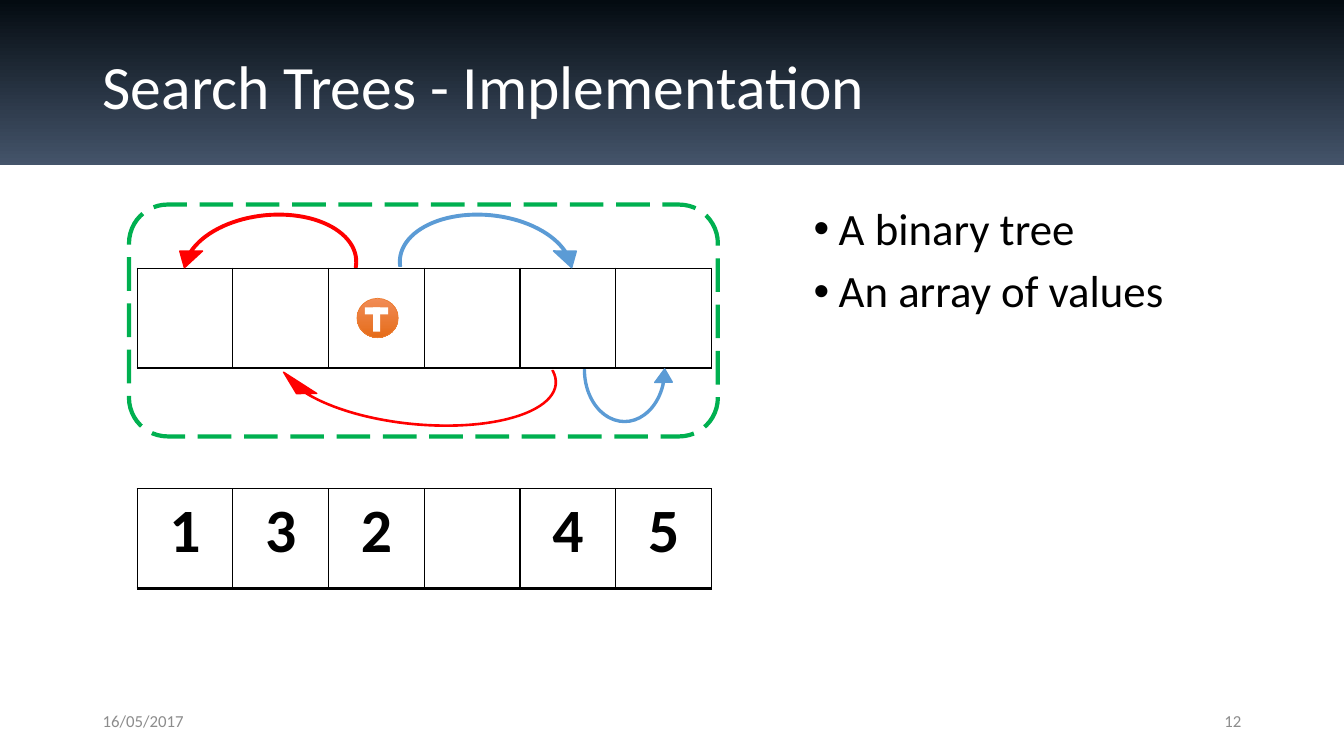
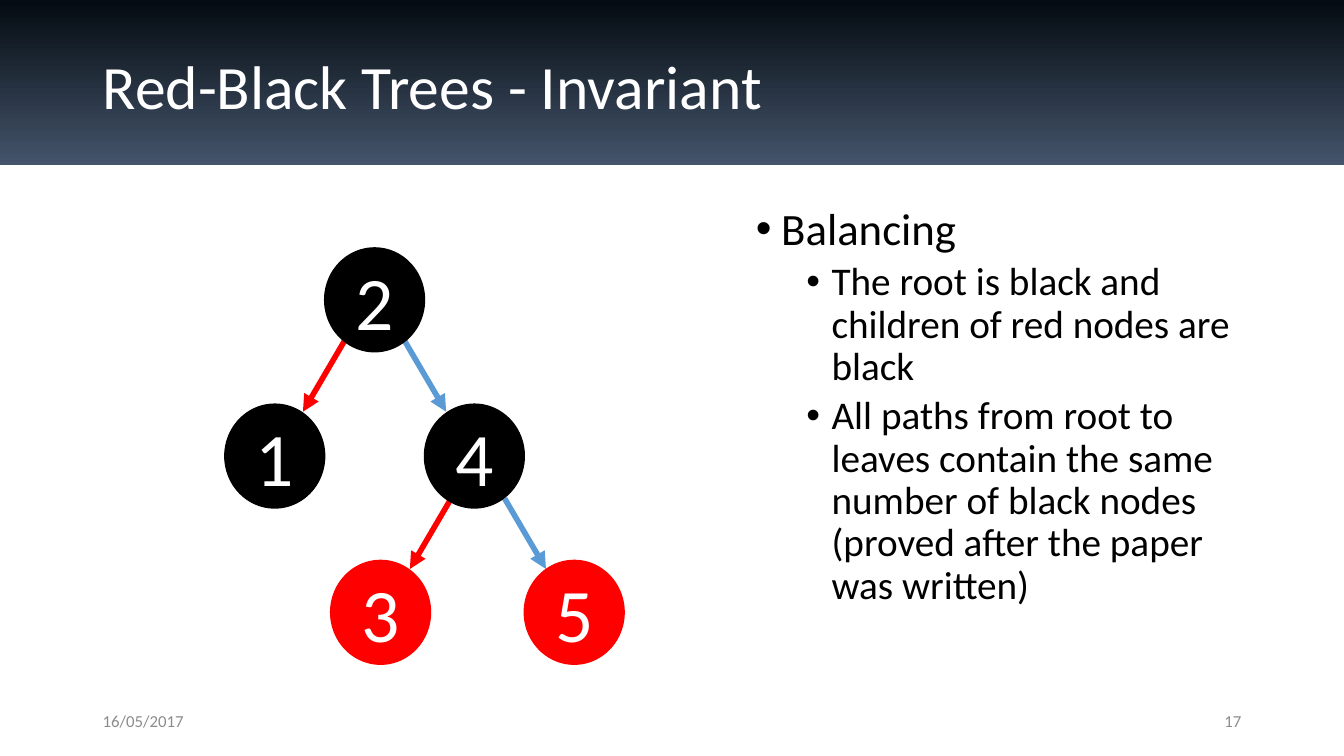
from dataclasses import dataclass
from typing import Optional

from lxml import etree
from pptx import Presentation
from pptx.dml.color import RGBColor
from pptx.enum.dml import MSO_LINE
from pptx.enum.shapes import MSO_CONNECTOR, MSO_SHAPE
from pptx.enum.text import MSO_ANCHOR, PP_ALIGN
from pptx.oxml.ns import qn
from pptx.util import Inches, Pt

RECTANGLE, ROUNDED = MSO_SHAPE.RECTANGLE, MSO_SHAPE.ROUNDED_RECTANGLE
ELLIPSE, CIRCULAR_ARROW = MSO_SHAPE.OVAL, MSO_SHAPE.CIRCULAR_ARROW
STRAIGHT, LONG_DASH = MSO_CONNECTOR.STRAIGHT, MSO_LINE.LONG_DASH
TOP, MIDDLE = MSO_ANCHOR.TOP, MSO_ANCHOR.MIDDLE
LEFT, CENTER, RIGHT = PP_ALIGN.LEFT, PP_ALIGN.CENTER, PP_ALIGN.RIGHT

FONT = "Calibri"
BLACK, WHITE, GREY = "000000", "FFFFFF", "8C8C8C"
RED, BLUE, GREEN = "FF0000", "5B9BD5", "00B050"
BAND = ("040B11", "44546A")
ICON = ("F18C57", "E56C19")

PAGE_WIDTH, PAGE_HEIGHT = 13.33, 7.5
MARGIN = 0.92
CONTENT_WIDTH = PAGE_WIDTH - 2 * MARGIN
BODY_TOP, BODY_HEIGHT = 2, 4.76
BODY_RIGHT = 12.56
CELL_WIDTH, CELL_HEIGHT, CELL_COUNT = 0.95, 0.99, 6
ARRAY_LEFT = 1.36
NODE_WIDTH, NODE_HEIGHT = 0.99, 1.03
TREE_LEFT, TREE_TOP, LEVEL_STEP = 2.23, 2.46, 1.55
EDGE_RUN, EDGE_RISE = 0.41, 0.7

Area = tuple[float, float, float, float]


@dataclass
class Bullet:
    text: str
    level: int = 0


@dataclass
class LoopArrow:
    area: Area
    color: str
    adjustments: tuple[float, ...]
    rotation: float = 0
    flips: str = ""


@dataclass
class Node:
    """A tree node; column counts node widths, edge_gap is the reach of its edges' starts."""
    label: str
    column: float
    level: int
    fill: str = BLACK
    left: Optional["Node"] = None
    right: Optional["Node"] = None
    edge_gap: tuple[float, float] = (0.3, 0.3)
    edge_drop: float = 0.41


LOOPS = [
    LoopArrow((3.85, 2.02, 1.94, 1.26), BLUE, (0.02, 7.15, 205.82, 105.06, 0.09), 5.5),
    LoopArrow((5.71, 3.07, 0.97, 1.2), BLUE, (0.02, 11.42, 205.4, 108, 0.09), 0, "V"),
    LoopArrow((2.67, 3.05, 2.95, 1.26), RED, (0.01, 6.59, 205.81, 104.62, 0.08), 5.5, "HV"),
    LoopArrow((1.71, 2.02, 1.94, 1.26), RED, (0.02, 7.15, 205.82, 104.62, 0.09), 354.5, "H"),
]

TREE = Node(
    "2", 1, 0,
    left=Node("1", 0, 1),
    right=Node("4", 2, 1, left=Node("3", 1.06, 2, RED), right=Node("5", 3, 2, RED),
               edge_gap=(0.23, 0.3), edge_drop=0.42),
)


def rgb(color: str) -> RGBColor:
    return RGBColor.from_string(color)


def inches(area: Area) -> list[int]:
    return [Inches(length) for length in area]


def add_text(target, text: str, *, size: float, color: str = BLACK, bold: bool = False,
             align=LEFT, spacing: Optional[float] = None, before: float = 0) -> None:
    """Fill a paragraph with one formatted span."""
    span = target.add_run()
    span.text = text
    target.alignment = align
    target.space_before = Pt(before)
    if spacing:
        target.line_spacing = spacing
    font = span.font
    font.name, font.size, font.bold = FONT, Pt(size), bold
    font.color.rgb = rgb(color)


def add_box(page, area: Area, anchor=TOP):
    frame = page.shapes.add_textbox(*inches(area)).text_frame
    frame.word_wrap = True
    frame.vertical_anchor = anchor
    return frame


def add_shape(page, kind, area: Area, *, fill: Optional[str] = None,
              gradient: Optional[tuple[str, str]] = None, line: Optional[str] = None,
              width: float = 1):
    shape = page.shapes.add_shape(kind, *inches(area))
    shape.shadow.inherit = False
    if gradient:
        shape.fill.gradient()
        shape.fill.gradient_angle = 270
        for stop, color in zip(shape.fill.gradient_stops, gradient):
            stop.color.rgb = rgb(color)
    elif fill:
        shape.fill.solid()
        shape.fill.fore_color.rgb = rgb(fill)
    else:
        shape.fill.background()
    if line:
        shape.line.color.rgb = rgb(line)
        shape.line.width = Pt(width)
    else:
        shape.line.fill.background()
    return shape


def add_bullets(page, left: float, bullets: list[Bullet]) -> None:
    frame = add_box(page, (left, BODY_TOP, BODY_RIGHT - left, BODY_HEIGHT))
    for index, bullet in enumerate(bullets):
        para = frame.add_paragraph() if index else frame.paragraphs[0]
        para.level = bullet.level
        properties = para._p.get_or_add_pPr()
        properties.set("marL", str(Inches(0.25 + 0.5 * bullet.level)))
        properties.set("indent", str(Inches(-0.25)))
        etree.SubElement(properties, qn("a:buFont"), typeface="Arial")
        etree.SubElement(properties, qn("a:buChar"), char="•")
        before = (5 if bullet.level else 10) if index else 0
        add_text(para, bullet.text, size=32 - 4 * bullet.level, spacing=0.9, before=before)


def start_page(deck, title: str, number: int):
    """Add a page with the title band and the footer."""
    page = deck.slides.add_slide(deck.slide_layouts[6])
    add_shape(page, RECTANGLE, (0, 0, PAGE_WIDTH, 1.64), gradient=BAND)
    heading = add_box(page, (MARGIN, 0.4, CONTENT_WIDTH, 0.97), MIDDLE)
    add_text(heading.paragraphs[0], title, size=44, color=WHITE, spacing=0.9)
    footer_width = 3
    right_footer = PAGE_WIDTH - MARGIN - footer_width
    for left, text, align in ((MARGIN, "16/05/2017", LEFT), (right_footer, str(number), RIGHT)):
        footer = add_box(page, (left, 6.95, footer_width, 0.4), MIDDLE)
        add_text(footer.paragraphs[0], text, size=12, color=GREY, align=align)
    return page


def add_array(page, top: float, values: list[str]) -> None:
    """Draw a one-row table with black borders."""
    area = (ARRAY_LEFT, top, CELL_WIDTH * CELL_COUNT, CELL_HEIGHT)
    table = page.shapes.add_table(1, CELL_COUNT, *inches(area)).table
    table.first_row = table.horz_banding = False
    for cell, value in zip(table.rows[0].cells, values):
        properties = cell._tc.get_or_add_tcPr()
        for side, width in (("L", 1), ("R", 1), ("T", 1), ("B", 2)):
            border = etree.SubElement(properties, qn(f"a:ln{side}"), w=str(Pt(width)))
            solid = etree.SubElement(border, qn("a:solidFill"))
            etree.SubElement(solid, qn("a:srgbClr"), val=BLACK)
        cell.fill.background()
        if value:
            add_text(cell.text_frame.paragraphs[0], value, size=44, bold=True, align=CENTER)


def add_loop(page, loop: LoopArrow) -> None:
    shape = add_shape(page, CIRCULAR_ARROW, loop.area, fill=loop.color, line=loop.color)
    for index, value in enumerate(loop.adjustments):
        shape.adjustments[index] = value
    shape.rotation = loop.rotation
    for axis in loop.flips:
        shape._element.spPr.find(qn("a:xfrm")).set(f"flip{axis}", "1")


def add_icon(page) -> None:
    """Draw the round T marker in the root's cell."""
    add_shape(page, ELLIPSE, (3.54, 2.96, 0.41, 0.39), gradient=ICON, line="ED7D31", width=0.5)
    for area in ((3.62, 3.05, 0.23, 0.07), (3.7, 3.05, 0.07, 0.24)):
        add_shape(page, RECTANGLE, area, fill=WHITE)


def add_edge(page, start: tuple[float, float], side: int, color: str) -> None:
    """Draw an arrow down to the left (side -1) or right (side 1)."""
    x, y = start
    ends = inches((x, y, x + side * EDGE_RUN, y + EDGE_RISE))
    edge = page.shapes.add_connector(STRAIGHT, *ends)
    edge.line.color.rgb = rgb(color)
    edge.line.width = Pt(4)
    etree.SubElement(edge.line._get_or_add_ln(), qn("a:tailEnd"), type="triangle")
    etree.SubElement(edge._element.spPr, qn("a:effectLst"))


def add_tree(page, node: Node) -> None:
    """Draw the subtrees and edges first, so that the node covers where its edges start."""
    left = TREE_LEFT + node.column * NODE_WIDTH
    top = TREE_TOP + node.level * LEVEL_STEP
    center_x, center_y = left + NODE_WIDTH / 2, top + NODE_HEIGHT / 2
    branches = ((node.left, -1, RED), (node.right, 1, BLUE))
    for (child, side, color), gap in zip(branches, node.edge_gap):
        if child:
            add_tree(page, child)
            add_edge(page, (center_x + side * gap, center_y + node.edge_drop), side, color)
    circle = add_shape(page, ELLIPSE, (left, top, NODE_WIDTH, NODE_HEIGHT),
                       fill=node.fill, line=node.fill)
    circle.text_frame.vertical_anchor = MIDDLE
    add_text(circle.text_frame.paragraphs[0], node.label, size=54, color=WHITE, align=CENTER)


def build_implementation(deck) -> None:
    page = start_page(deck, "Search Trees - Implementation", 12)
    add_bullets(page, 7.97, [Bullet("A binary tree"), Bullet("An array of values")])
    frame = add_shape(page, ROUNDED, (1.28, 2.03, 5.84, 2.3), line=GREEN, width=3)
    frame.line.dash_style = LONG_DASH
    add_array(page, 2.66, [""] * CELL_COUNT)
    for loop in LOOPS:
        add_loop(page, loop)
    add_icon(page)
    add_array(page, 4.85, ["1", "3", "2", "", "4", "5"])


def build_invariant(deck) -> None:
    page = start_page(deck, "Red-Black Trees - Invariant", 17)
    add_bullets(page, 7.4, [
        Bullet("Balancing"),
        Bullet("The root is black and children of red nodes are black", 1),
        Bullet("All paths from root to leaves contain the same number of black nodes "
               "(proved after the paper was written)", 1),
    ])
    add_tree(page, TREE)


def main() -> None:
    deck = Presentation()
    deck.slide_width, deck.slide_height = Inches(PAGE_WIDTH), Inches(PAGE_HEIGHT)
    build_implementation(deck)
    build_invariant(deck)
    deck.save("out.pptx")


if __name__ == "__main__":
    main()
